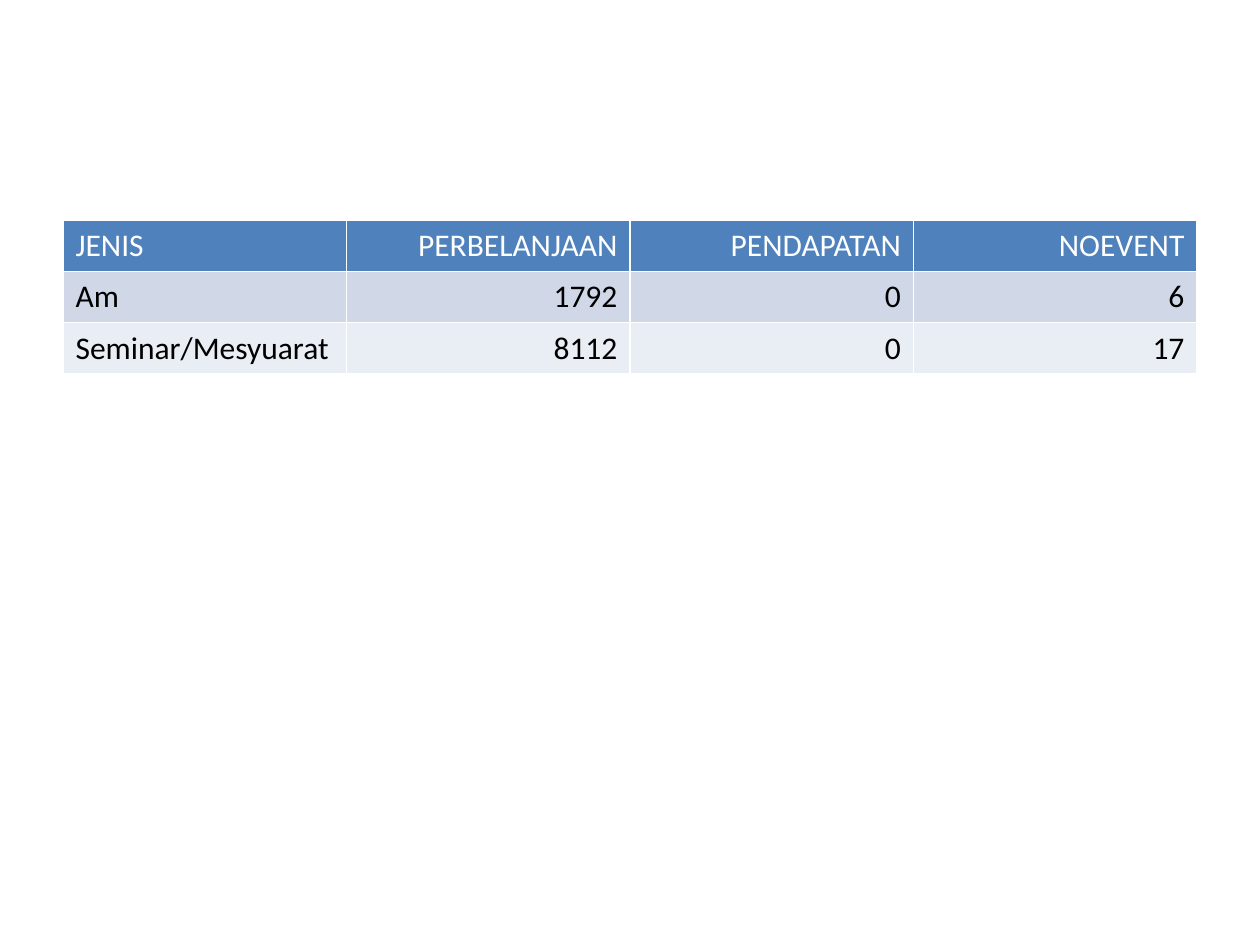
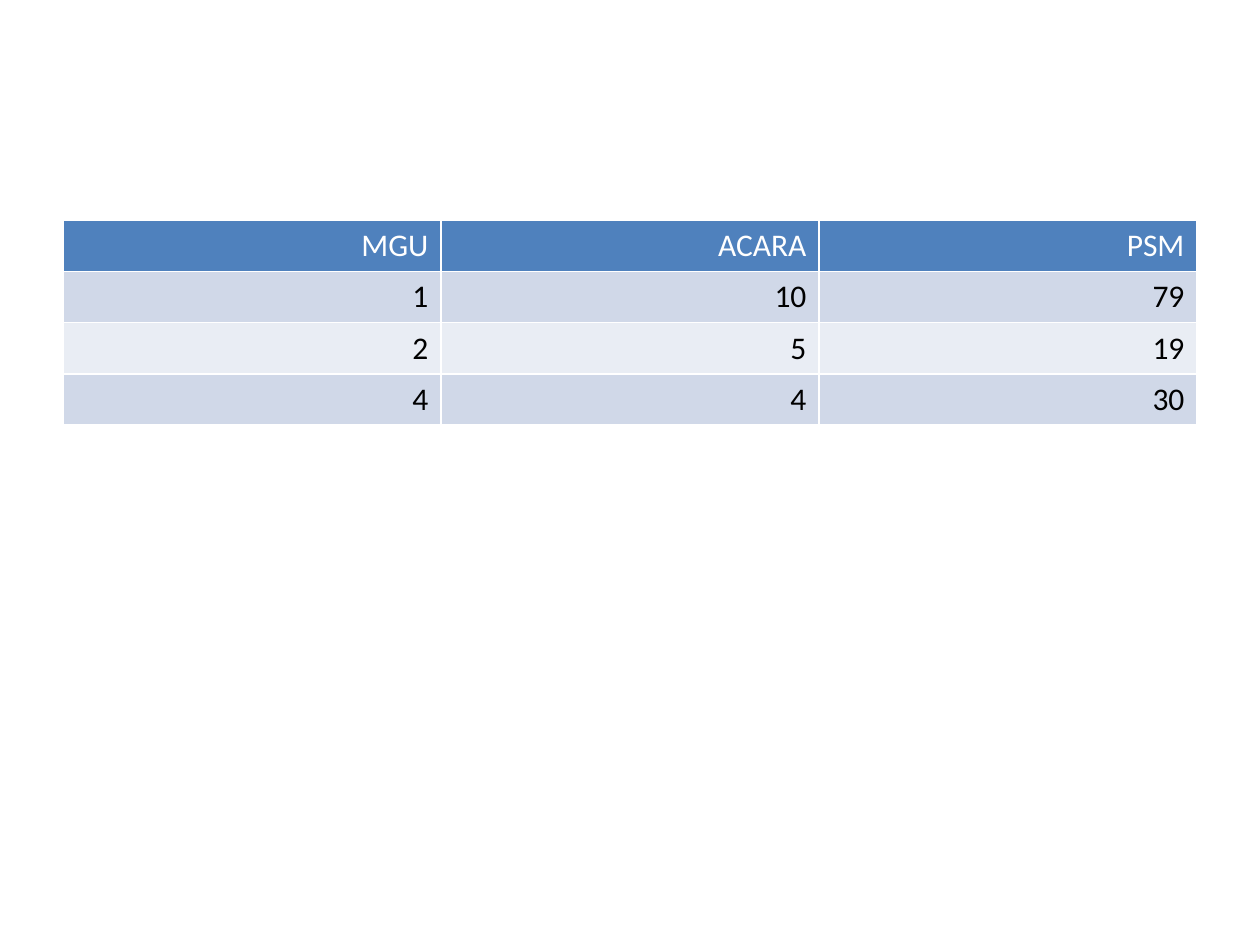
from lxml import etree
from pptx import Presentation
from pptx.dml.color import RGBColor
from pptx.enum.text import PP_ALIGN
from pptx.oxml.ns import qn
from pptx.util import Inches, Pt

LEFT, RIGHT = PP_ALIGN.LEFT, PP_ALIGN.RIGHT
FONT = "Calibri"
WHITE, BLACK = "FFFFFF", "000000"
HEADER_FILL = "4F81BD"
BAND_FILLS = ("D0D8E8", "E9EDF4")
BLANK_LAYOUT = 6


def color(code):
    return RGBColor.from_string(code)


def write(frame, text, size=18, ink=BLACK, align=LEFT):
    """Put one formatted line of text into a text frame."""
    para = frame.paragraphs[0]
    para.alignment = align
    span = para.add_run()
    span.text = text
    span.font.name = FONT
    span.font.size = Pt(size)
    span.font.bold = False
    span.font.color.rgb = color(ink)


def add_borders(cell, ink=WHITE, width=1):
    """Draw the four cell borders, which must come before the fill."""
    properties = cell._tc.get_or_add_tcPr()
    for position, side in enumerate(("a:lnL", "a:lnR", "a:lnT", "a:lnB")):
        line = etree.Element(qn(side), w=str(Pt(width)))
        fill = etree.SubElement(line, qn("a:solidFill"))
        etree.SubElement(fill, qn("a:srgbClr"), val=ink)
        properties.insert(position, line)


class Deck:
    def __init__(self):
        self.presentation = Presentation()
        self.presentation.slide_width = Inches(10)
        self.presentation.slide_height = Inches(7.5)
        self.page = None

    def add_page(self):
        layout = self.presentation.slide_layouts[BLANK_LAYOUT]
        self.page = self.presentation.slides.add_slide(layout)

    def add_table(self, rows, text_columns=(), left=0.5, top=1.75,
                  width=9, row_height=0.4):
        """Add a banded table; columns hold numbers unless listed as text."""
        table = self.page.shapes.add_table(
            len(rows), len(rows[0]), Inches(left), Inches(top),
            Inches(width), Inches(row_height * len(rows))).table
        for row_index, values in enumerate(rows):
            is_header = row_index == 0
            fill = HEADER_FILL if is_header else BAND_FILLS[(row_index - 1) % 2]
            for column_index, value in enumerate(values):
                cell = table.cell(row_index, column_index)
                cell.fill.solid()
                cell.fill.fore_color.rgb = color(fill)
                add_borders(cell)
                write(cell.text_frame, str(value),
                      ink=WHITE if is_header else BLACK,
                      align=LEFT if column_index in text_columns else RIGHT)


def main():
    deck = Deck()

    # Spending and income by event type
    deck.add_page()
    deck.add_table([
        ("JENIS", "PERBELANJAAN", "PENDAPATAN", "NOEVENT"),
        ("Am", 1792, 0, 6),
        ("Seminar/Mesyuarat", 8112, 0, 17),
    ], text_columns=(0,))

    # Events by week
    deck.add_page()
    deck.add_table([
        ("MGU", "ACARA", "PSM"),
        (1, 10, 79),
        (2, 5, 19),
        (4, 4, 30),
    ])

    deck.presentation.save("out.pptx")


if __name__ == "__main__":
    main()
